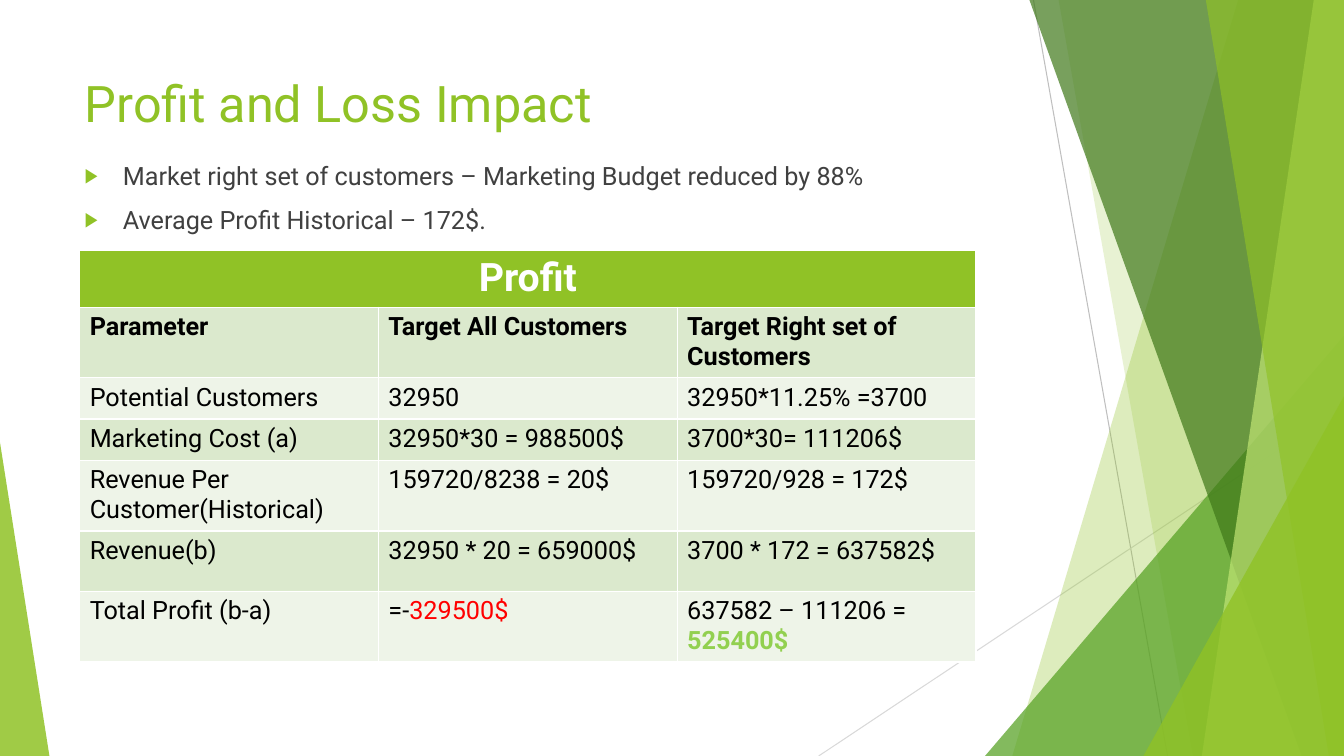
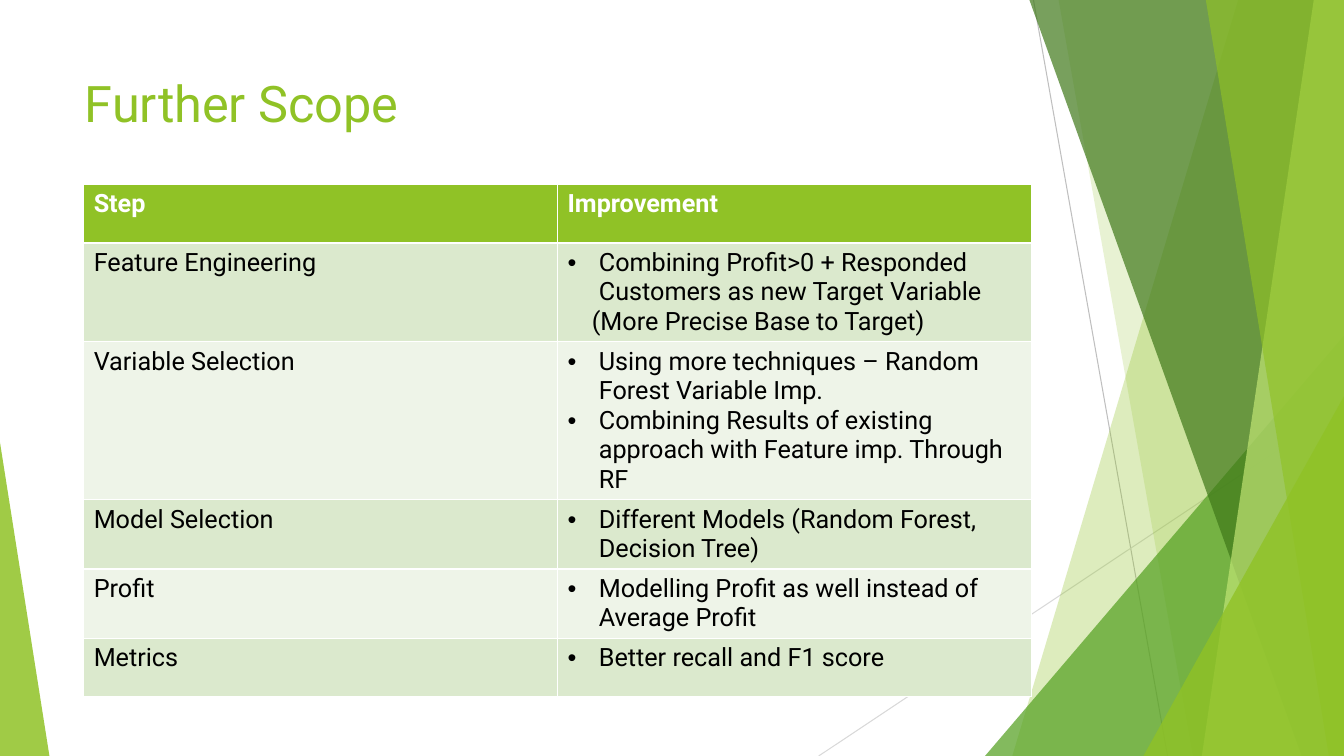
"""Build two slides on profit impact and further scope over a shared green backdrop."""
from dataclasses import dataclass

from lxml import etree
from pptx import Presentation
from pptx import presentation as deck
from pptx import slide as page
from pptx import table as grid
from pptx import util as u
from pptx.dml import color
from pptx.enum import shapes, text
from pptx.oxml import ns
from pptx.shapes import autoshape as auto
from pptx.shapes import shapetree as tree
from pptx.text import text as words


@dataclass(frozen=True)
class Theme:
    font: str = "Roboto"
    green: str = "90C226"
    leaf: str = "54A021"
    forest: str = "3F7819"
    lime: str = "C0E474"
    gain: str = "92D050"
    loss: str = "FF0000"
    white: str = "FFFFFF"
    black: str = "000000"
    gray: str = "404040"
    bands: tuple[str, str] = ("DBE9CD", "EEF4E8")
    title: int = 36
    head: int = 28
    body: int = 18


THEME = Theme()
WIDE, HIGH = 13.33, 7.5


def tint(shape: auto.Shape, hue: str, cover: int) -> None:
    shape.shadow.inherit = False
    shape.line.fill.background()
    shape.fill.solid()
    shape.fill.fore_color.rgb = color.RGBColor.from_string(hue)
    paint = shape.element.xpath("./p:spPr/a:solidFill/a:srgbClr")[0]
    etree.SubElement(paint, ns.qn("a:alpha"), val=str(cover * 1000))


@dataclass(frozen=True)
class Ray:
    start: tuple[float, float]
    end: tuple[float, float]
    hue: str

    def draw(self, board: tree.SlideShapes) -> None:
        ends = [u.Inches(v) for v in self.start + self.end]
        line = board.add_connector(shapes.MSO_CONNECTOR.STRAIGHT, *ends)
        line.line.color.rgb = color.RGBColor.from_string(self.hue)
        line.line.width = u.Pt(0.75)
        etree.SubElement(line.element.spPr, ns.qn("a:effectLst"))


@dataclass(frozen=True)
class Veil:
    top: float
    foot: float
    hue: str
    cover: int

    def draw(self, board: tree.SlideShapes) -> None:
        spots = [(WIDE, 0), (WIDE, HIGH), (self.foot, HIGH)]
        pen = board.build_freeform(u.Inches(self.top), 0)
        pen.add_line_segments([(u.Inches(x), u.Inches(y)) for x, y in spots])
        tint(pen.convert_to_shape(), self.hue, self.cover)


@dataclass(frozen=True)
class Wedge:
    left: float
    width: float
    top: float
    apex: int
    hue: str
    cover: int

    def draw(self, board: tree.SlideShapes) -> None:
        box = [u.Inches(v) for v in (self.left, self.top, self.width, HIGH - self.top)]
        shape = board.add_shape(shapes.MSO_SHAPE.ISOSCELES_TRIANGLE, *box)
        shape.adjustments[0] = self.apex
        tint(shape, self.hue, self.cover)


BACKDROP = (
    Ray((10.25, 0), (11.58, HIGH), "BFBFBF"),
    Ray((WIDE, 4.03), (8.12, HIGH), "D9D9D9"),
    Veil(12.28, 10.04, THEME.green, 30),
    Veil(10.5, 11.83, THEME.green, 20),
    Wedge(9.77, 3.56, 3.33, 1, THEME.leaf, 72),
    Veil(10.21, 12.91, THEME.forest, 70),
    Veil(13.03, 11.92, THEME.lime, 70),
    Veil(11.96, 13.18, THEME.green, 65),
    Wedge(11.34, 1.99, 3.93, 1, THEME.green, 80),
    Wedge(0, 0.49, 4.39, 0, THEME.green, 85),
)

PROFIT = (
    ("Profit", "", ""),
    ("Parameter", "Target All Customers", "Target Right set of Customers"),
    ("Potential Customers", "32950", "32950*11.25% =3700"),
    ("Marketing Cost (a)", "32950*30 = 988500$", "3700*30= 111206$"),
    ("Revenue Per Customer(Historical)", "159720/8238 = 20$", "159720/928 = 172$"),
    ("Revenue(b)", "32950 * 20 = 659000$", "3700 * 172 = 637582$"),
    ("Total Profit (b-a)", "=-", "637582 – 111206 = "),
)

NOTE = "(More Precise Base to Target)"
SCOPE = (
    ("Step", "Improvement"),
    ("Feature Engineering",
     "Combining Profit>0 + Responded Customers as new Target Variable\n" + NOTE),
    ("Variable Selection",
     "Using more techniques – Random Forest Variable Imp.\n"
     "Combining Results of existing approach with Feature imp. Through RF"),
    ("Model Selection", "Different Models (Random Forest, Decision Tree)"),
    ("Profit", "Modelling Profit as well instead of Average Profit"),
    ("Metrics", "Better recall and F1 score"),
)

POINTS = (
    "Market right set of customers – Marketing Budget reduced by 88%\n"
    "Average Profit Historical – 172$."
)


def style(run: words._Run, size: int, hue: str, bold: bool = False) -> None:
    run.font.name = THEME.font
    run.font.size = u.Pt(size)
    run.font.bold = bold
    run.font.color.rgb = color.RGBColor.from_string(hue)


def format_text(frame: words.TextFrame, size: int, hue: str, bold: bool = False) -> None:
    for para in frame.paragraphs:
        for run in para.runs:
            style(run, size, hue, bold)


def add_mark(para: words._Paragraph, mark: str, left: float,
             hue: str = THEME.black, scale: int = 100) -> None:
    props = para._p.get_or_add_pPr()
    props.set("marL", str(u.Inches(left)))
    props.set("indent", str(u.Inches(-left)))
    paint = etree.SubElement(props, ns.qn("a:buClr"))
    etree.SubElement(paint, ns.qn("a:srgbClr"), val=hue)
    etree.SubElement(props, ns.qn("a:buSzPct"), val=str(scale * 1000))
    etree.SubElement(props, ns.qn("a:buFont"), typeface="Arial")
    etree.SubElement(props, ns.qn("a:buChar"), char=mark)


def add_page(show: deck.Presentation, layout: page.SlideLayout,
             name: str, width: float, height: float) -> page.Slide:
    slide = show.slides.add_slide(layout)
    title = slide.shapes.title
    title.left, title.top = u.Inches(0.74), u.Inches(0.67)
    title.width, title.height = u.Inches(width), u.Inches(height)
    frame = title.text_frame
    frame.text = name
    frame.auto_size = text.MSO_AUTO_SIZE.NONE
    frame.vertical_anchor = text.MSO_ANCHOR.TOP
    frame.paragraphs[0].alignment = text.PP_ALIGN.LEFT
    format_text(frame, THEME.title, THEME.green)
    return slide


def add_grid(slide: page.Slide, data: tuple[tuple[str, ...], ...], left: float,
             top: float, width: float, pitch: float) -> grid.Table:
    box = [u.Inches(v) for v in (left, top, width, pitch * len(data))]
    table = slide.shapes.add_table(len(data), len(data[0]), *box).table
    for r, row in enumerate(data):
        for c, entry in enumerate(row):
            cell = table.cell(r, c)
            cell.text_frame.text = entry
            cell.fill.solid()
            fill = THEME.bands[(r - 1) % 2] if r else THEME.green
            cell.fill.fore_color.rgb = color.RGBColor.from_string(fill)
            hue = THEME.black if r else THEME.white
            format_text(cell.text_frame, THEME.body, hue, bold=not r)
    return table


def add_backdrop(slide: page.Slide, layout: page.SlideLayout) -> None:
    for spot in list(layout.placeholders):
        if spot.placeholder_format.type != shapes.PP_PLACEHOLDER.TITLE:
            layout.shapes.element.remove(spot.element)
    for part in BACKDROP:
        part.draw(slide.shapes)
    for shape in list(slide.shapes):
        if not shape.is_placeholder:
            layout.shapes.element.append(shape.element)


def fill_profit(slide: page.Slide) -> None:
    box = [u.Inches(v) for v in (0.74, 1.54, 9.45, 0.92)]
    frame = slide.shapes.add_textbox(*box).text_frame
    frame.word_wrap = True
    frame.text = POINTS
    format_text(frame, THEME.body, THEME.gray)
    for para in frame.paragraphs:
        para.space_before = u.Pt(10)
        add_mark(para, "▶", 0.38, THEME.green, 80)

    table = add_grid(slide, PROFIT, 0.79, 2.48, 8.89, 0.41)
    table.rows[5].height = u.Inches(0.6)
    head = table.cell(0, 0)
    head.merge(table.cell(0, 2))
    head.text_frame.paragraphs[0].alignment = text.PP_ALIGN.CENTER
    format_text(head.text_frame, THEME.head, THEME.white, bold=True)
    for cell in table.rows[1].cells:
        format_text(cell.text_frame, THEME.body, THEME.black, bold=True)
    sums = ((1, "329500$", THEME.loss, False), (2, "525400$", THEME.gain, True))
    for col, total, hue, bold in sums:
        run = table.cell(6, col).text_frame.paragraphs[0].add_run()
        run.text = total
        style(run, THEME.body, hue, bold)


def fill_scope(slide: page.Slide) -> None:
    table = add_grid(slide, SCOPE, 0.83, 1.83, 9.4, 0.58)
    for row in range(1, len(SCOPE)):
        for para in table.cell(row, 1).text_frame.paragraphs:
            if para.text == NOTE:
                para._p.get_or_add_pPr().set("marL", str(u.Inches(0.24)))
            else:
                add_mark(para, "•", 0.31)


def main() -> None:
    show = Presentation()
    show.slide_width, show.slide_height = u.Inches(WIDE), u.Inches(HIGH)
    layout = show.slide_layouts.get_by_name("Title Only")
    profit = add_page(show, layout, "Profit and Loss Impact", 8.98, 1.07)
    add_backdrop(profit, layout)
    fill_profit(profit)
    fill_scope(add_page(show, layout, "Further Scope", 9.4, 1.44))
    show.save("out.pptx")


if __name__ == "__main__":
    main()
